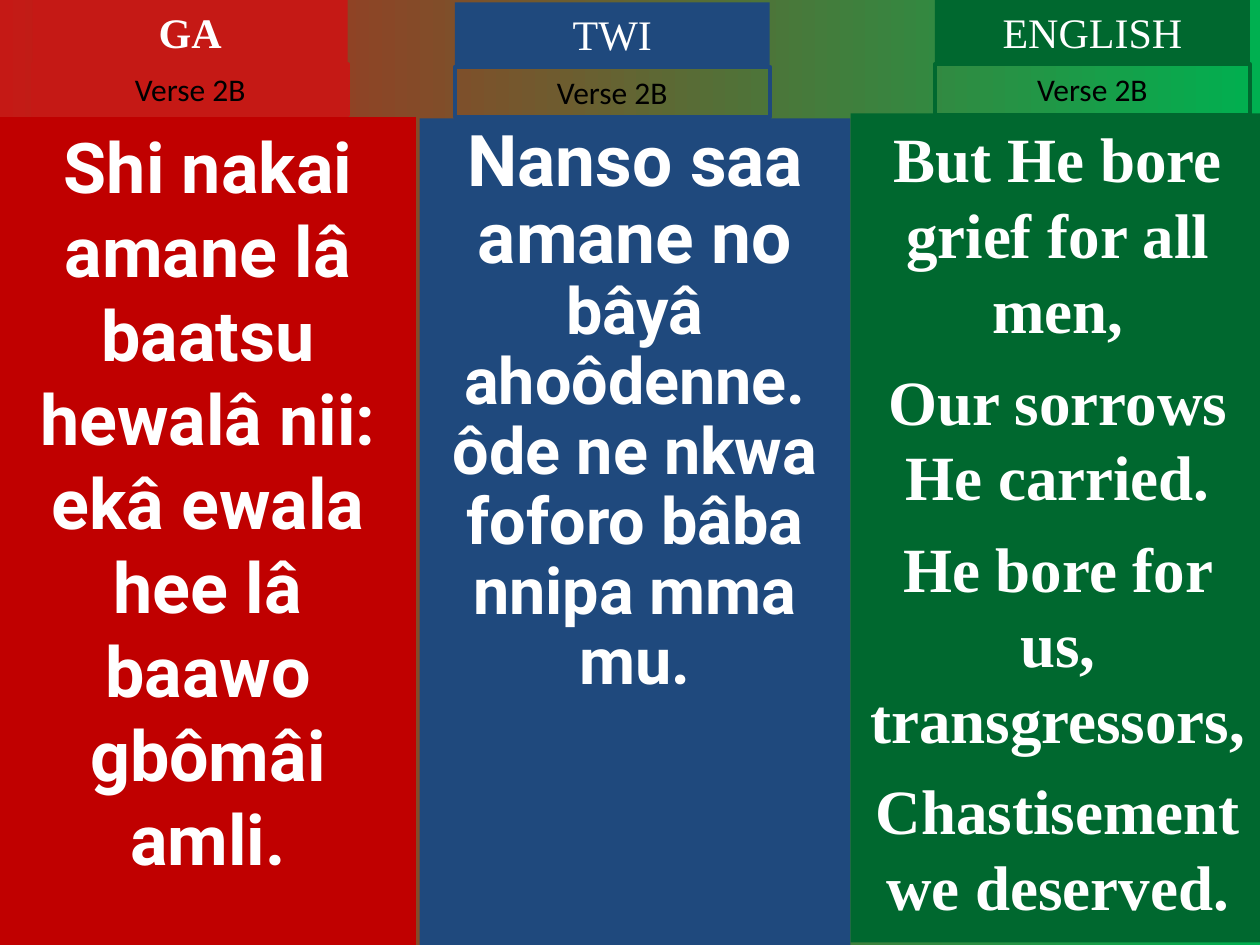
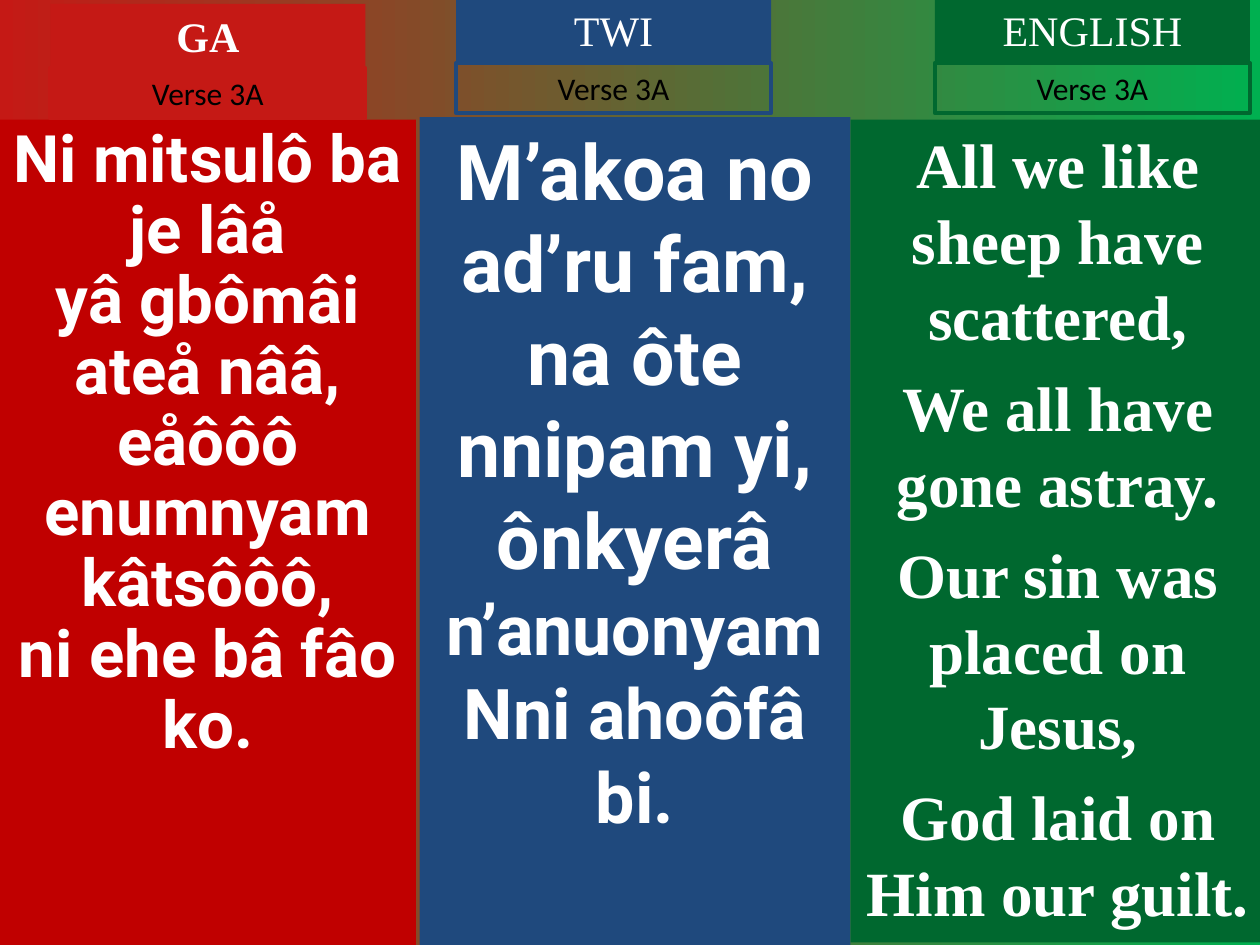
from dataclasses import dataclass

from lxml import etree
from pptx import Presentation, util as u
from pptx.dml.color import RGBColor
from pptx.enum import shapes, text
from pptx.oxml import ns

RED = RGBColor(0xC5, 0x19, 0x15)
DEEP_RED = RGBColor(0xC0, 0x00, 0x00)
BLUE = RGBColor(0x1F, 0x49, 0x7D)
GREEN = RGBColor(0x00, 0x68, 0x2F)
BRIGHT_GREEN = RGBColor(0x00, 0xB0, 0x50)
WHITE = RGBColor(0xFF, 0xFF, 0xFF)
BLACK = RGBColor(0x00, 0x00, 0x00)

# The page is a grid of square cells, one inch each.
COLUMNS, ROWS = 10, 7.5
CELL = u.Inches(1)
HEADING_SIZE = 2.5, 0.5
TAG_SIZE = 2.5, 0.4
TAG_DROP = 0.51


@dataclass(frozen=True)
class Language:
    name: str
    accent: RGBColor
    panel: RGBColor
    left: float
    width: float
    bottom: float = ROWS
    font: str = "Roboto"
    bold_heading: bool = False
    space_before: float = 0


@dataclass(frozen=True)
class Verse:
    """Each paragraph is a tuple of (words, size) runs."""
    heading_at: tuple
    top: float
    paragraphs: list
    line_spacing: float = 1.0


GA = Language("GA", RED, DEEP_RED, 0, 3.3, bold_heading=True)
TWI = Language("TWI", BLUE, BLUE, 3.33, 3.42)
ENGLISH = Language("ENGLISH", GREEN, GREEN, 6.75, 3.29, bottom=7.48,
                   font="Times New Roman", space_before=9)


def one_size(size, *lines):
    return [((line, size),) for line in lines]


VERSES = {
    "Verse 2B": {
        GA: Verse((0.26, 0), 0.93, one_size(
            40, "Shi nakai amane lâ", "baatsu hewalâ nii:",
            "ekâ ewala hee lâ baawo gbômâi amli.")),
        TWI: Verse((3.61, 0.02), 0.94,
                   one_size(40.7, "Nanso saa amane no")
                   + one_size(37, "bâyâ ahoôdenne.",
                              "ôde ne nkwa foforo bâba nnipa mma mu."), 0.9),
        ENGLISH: Verse((7.42, 0), 0.9, one_size(
            36, "But He bore grief for all men,", "Our sorrows He carried.",
            "He bore for us, transgressors,", "Chastisement we deserved.")),
    },
    "Verse 3A": {
        GA: Verse((0.4, 0.03), 0.95, one_size(
            37.4, "Ni mitsulô ba je lâå",
            "yâ gbômâi ateå nââ, eåôôô enumnyam kâtsôôô,",
            "ni ehe bâ fâo ko."), 0.9),
        TWI: Verse((3.62, -0.01), 0.93,
                   one_size(44, "M’akoa no ad’ru fam,", "na ôte nnipam yi,")
                   + [(("ônkyerâ ", 44), ("n’anuonyam", 40))]
                   + one_size(40, "Nni ahoôfâ bi.")),
        ENGLISH: Verse((7.42, -0.01), 0.95, one_size(
            36, "All we like sheep have scattered,", "We all have gone astray.",
            "Our sin was placed on Jesus,", "God laid on Him our guilt.")),
    },
}


class HymnDeck:
    def __init__(self):
        self.prs = Presentation()
        self.prs.slide_width = int(COLUMNS * CELL)
        self.prs.slide_height = int(ROWS * CELL)
        self.slide = None
        backdrop = self.prs.slide_master.background.fill
        backdrop.gradient()
        backdrop.gradient_angle = 0
        for stop, color in zip(backdrop.gradient_stops, (RED, BRIGHT_GREEN)):
            stop.color.rgb = color

    def new_slide(self):
        two_content = self.prs.slide_layouts[3]
        self.slide = self.prs.slides.add_slide(two_content)

    def place(self, at, size, holder=None):
        """Put a placeholder, or a new rectangle, on the grid."""
        left, top, width, height = (round(n * CELL) for n in (*at, *size))
        if holder is None:
            holder = self.slide.shapes.add_shape(
                shapes.MSO_SHAPE.RECTANGLE, left, top, width, height)
            holder.shadow.inherit = False
        else:
            holder.left, holder.top = left, top
            holder.width, holder.height = width, height
        frame = holder.text_frame
        frame.word_wrap = True
        frame.vertical_anchor = text.MSO_ANCHOR.TOP
        frame.auto_size = text.MSO_AUTO_SIZE.NONE
        return holder

    def fill(self, box, color):
        box.fill.solid()
        box.fill.fore_color.rgb = color
        box.line.fill.background()

    def style(self, run, size, font, color, bold):
        run.font.size = u.Pt(size)
        run.font.name = font
        run.font.color.rgb = color
        run.font.bold = bold

    def label(self, box, words, *style):
        box.text_frame.auto_size = text.MSO_AUTO_SIZE.SHAPE_TO_FIT_TEXT
        box.text_frame.text = words
        line = box.text_frame.paragraphs[0]
        line.alignment = text.PP_ALIGN.CENTER
        self.style(line.runs[0], *style)

    def heading(self, language, at, holder=None):
        box = self.place(at, HEADING_SIZE, holder)
        self.fill(box, language.accent)
        self.label(box, language.name, 24, "Times New Roman", WHITE,
                   language.bold_heading)

    def tag(self, language, at, words):
        box = self.place(at, TAG_SIZE)
        box.fill.background()
        box.line.color.rgb = language.accent
        box.line.width = u.Pt(2.25)
        self.label(box, words, 18, "Calibri", BLACK, False)

    def panel(self, language, verse, holder=None):
        box = self.place((language.left, verse.top),
                         (language.width, language.bottom - verse.top), holder)
        self.fill(box, language.panel)
        frame = box.text_frame
        for number, runs in enumerate(verse.paragraphs):
            line = frame.add_paragraph() if number else frame.paragraphs[0]
            self.unbullet(line)
            line.alignment = text.PP_ALIGN.CENTER
            line.line_spacing = verse.line_spacing
            line.space_before = u.Pt(language.space_before if number else 0)
            for words, size in runs:
                run = line.add_run()
                run.text = words
                self.style(run, size, language.font, WHITE, True)

    def unbullet(self, line):
        properties = line._p.get_or_add_pPr()
        properties.set("marL", "0")
        properties.set("indent", "0")
        etree.SubElement(properties, ns.qn("a:buNone"))

    def verse_slide(self, name, verses):
        self.new_slide()
        title, *bodies = self.slide.placeholders
        headings = {GA: title}
        panels = dict(zip((GA, TWI), bodies))
        for language, verse in verses.items():
            left, top = verse.heading_at
            self.panel(language, verse, panels.get(language))
            self.heading(language, (left, top), headings.get(language))
            self.tag(language, (left, top + TAG_DROP), name)


def main():
    deck = HymnDeck()
    for name, verses in VERSES.items():
        deck.verse_slide(name, verses)
        # The layout's date, footer and number holders are not carried over.
    deck.prs.save("out.pptx")


if __name__ == "__main__":
    main()
